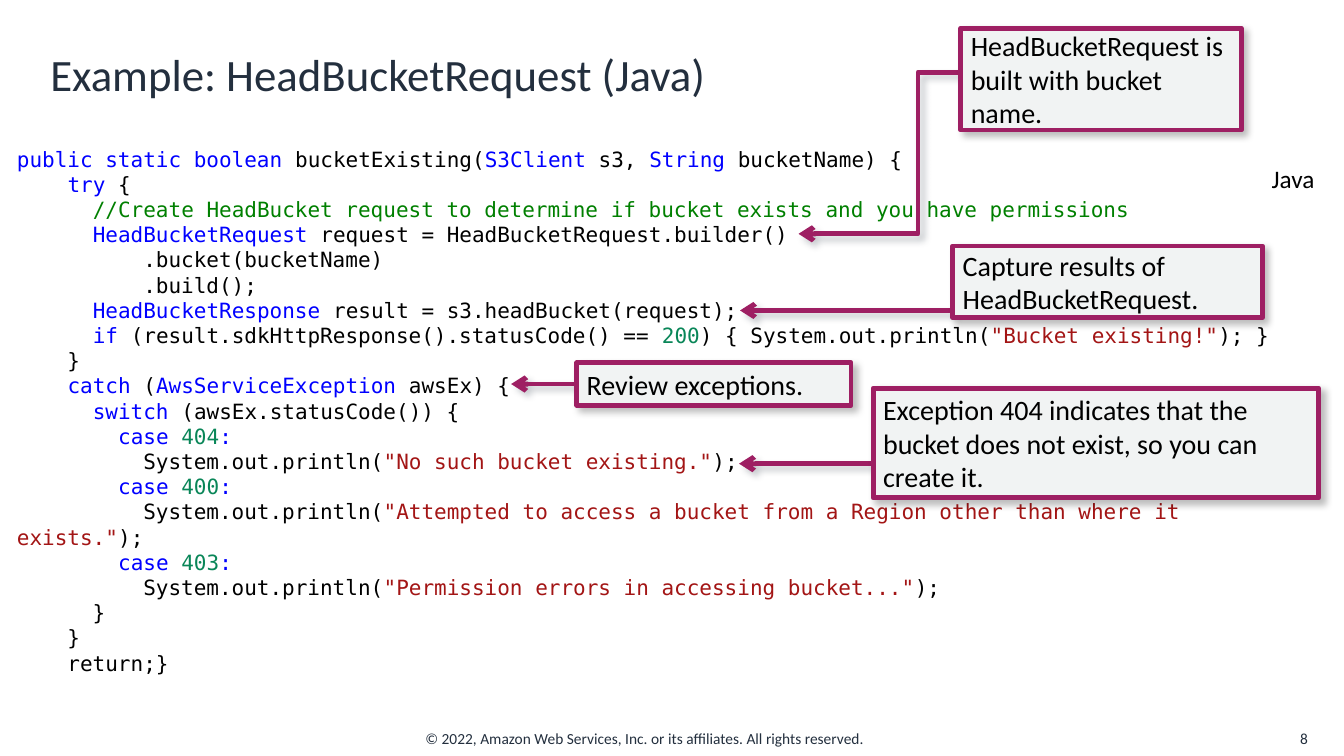
from dataclasses import dataclass

from lxml import etree
from pptx import Presentation
from pptx.dml.color import RGBColor
from pptx.enum.shapes import MSO_CONNECTOR, MSO_SHAPE
from pptx.enum.text import MSO_ANCHOR, PP_ALIGN
from pptx.oxml.ns import qn
from pptx.util import Inches, Pt

RECT = MSO_SHAPE.RECTANGLE
STRAIGHT, ELBOW = MSO_CONNECTOR.STRAIGHT, MSO_CONNECTOR.ELBOW
TOP, MIDDLE = MSO_ANCHOR.TOP, MSO_ANCHOR.MIDDLE
LEFT, CENTER, RIGHT = PP_ALIGN.LEFT, PP_ALIGN.CENTER, PP_ALIGN.RIGHT


@dataclass(frozen=True)
class Theme:
    body: str = "Calibri"
    mono: str = "DejaVu Sans Mono"
    ink: str = "232F3E"
    black: str = "000000"
    panel: str = "F1F3F3"
    accent: str = "9E1F63"
    keyword: str = "0000FF"
    comment: str = "008000"
    number: str = "098658"
    string: str = "A31515"
    title_size: int = 32
    callout_size: int = 20
    label_size: int = 18
    code_size: int = 15
    code_pitch: int = 18
    footer_size: int = 11
    line_width: float = 3.5


T = Theme()
KEY, NOTE, NUM, STR = T.keyword, T.comment, T.number, T.string

# One list per line of code; coloured parts are (text, colour)
PRINT = "          System.out.println("
CODE = [
    [("public static boolean ", KEY), "bucketExisting(", ("S3Client", KEY),
     " s3, ", ("String ", KEY), "bucketName) {"],
    ["    ", ("try", KEY), " {"],
    ["      ", ("//Create HeadBucket request to determine if bucket exists"
                " and you have permissions", NOTE)],
    ["      ", ("HeadBucketRequest", KEY),
     " request = HeadBucketRequest.builder()"],
    ["          .bucket(bucketName)"],
    ["          .build();"],
    ["      ", ("HeadBucketResponse", KEY), " result = s3.headBucket(request);"],
    ["      ", ("if", KEY), " (result.sdkHttpResponse().statusCode() == ",
     ("200", NUM), ") { System.out.println(", ('"Bucket existing!"', STR),
     "); }"],
    ["    }"],
    ["    ", ("catch", KEY), " (", ("AwsServiceException ", KEY), "awsEx) {"],
    ["      ", ("switch", KEY), " (awsEx.statusCode()) {"],
    ["        ", ("case ", KEY), ("404", NUM), (":", KEY)],
    [PRINT, ('"No such bucket existing."', STR), ");"],
    ["        ", ("case ", KEY), ("400", NUM), (":", KEY)],
    [PRINT, ('"Attempted to access a bucket from a Region other than where'
             ' it exists."', STR), ");"],
    ["        ", ("case ", KEY), ("403", NUM), (":", KEY)],
    [PRINT, ('"Permission errors in accessing bucket..."', STR), ");"],
    ["      }"],
    ["    }"],
    ["    return;}"],
]

# Text, box (left, top, width, height), arrow start, arrow end
CALLOUTS = [
    ("HeadBucketRequest is built with bucket name.",
     (9.53, 0.28, 2.78, 1.01), (9.54, 0.72), (7.92, 2.32)),
    ("Capture results of HeadBucketRequest.",
     (9.45, 2.44, 3.07, 0.71), (9.45, 3.08), (7.34, 3.08)),
    ("Review exceptions.",
     (5.72, 3.6, 2.72, 0.42), (7.17, 3.81), (5.07, 3.81)),
    ("Exception 404 indicates that the bucket does not exist, "
     "so you can create it.",
     (8.66, 3.85, 4.42, 1.09), (9.43, 4.6), (7.33, 4.6)),
]
ELBOW_BEND = 26900  # share of the width before the turn, in 1/1000 percent


def write(sp, lines, *, size, color=T.ink, font=T.body, align=LEFT,
          anchor=TOP, wrap=True, pitch=None):
    """Fill a shape with lines; a line is a string or a list of parts."""
    tf = sp.text_frame
    tf.word_wrap = wrap
    tf.vertical_anchor = anchor
    for i, line in enumerate(lines):
        p = tf.paragraphs[0] if i == 0 else tf.add_paragraph()
        p.alignment = align
        if pitch:
            p.line_spacing = Pt(pitch)
        for part in [line] if isinstance(line, str) else line:
            text, tint = (part, color) if isinstance(part, str) else part
            r = p.add_run()
            r.text = text
            r.font.name = font
            r.font.size = Pt(size)
            r.font.color.rgb = RGBColor.from_string(tint)


def add_text(s, box, lines, **fmt):
    sp = s.shapes.add_textbox(*map(Inches, box))
    write(sp, lines, **fmt)
    return sp


def add_shadow(sp, color):
    effects = etree.SubElement(sp._element.spPr, qn("a:effectLst"))
    shadow = etree.SubElement(
        effects, qn("a:outerShdw"), blurRad=str(Pt(5)), dist=str(Pt(4.2)),
        dir="2700000", algn="tl", rotWithShape="0")
    clr = etree.SubElement(shadow, qn("a:srgbClr"), val=color)
    etree.SubElement(clr, qn("a:alpha"), val="25000")


def style_line(sp):
    sp.line.color.rgb = RGBColor.from_string(T.accent)
    sp.line.width = Pt(T.line_width)


def add_arrow(s, start, end):
    straight = start[1] == end[1]
    sp = s.shapes.add_connector(STRAIGHT if straight else ELBOW,
                                *map(Inches, start + end))
    style_line(sp)
    etree.SubElement(sp.line._get_or_add_ln(), qn("a:tailEnd"), type="arrow")
    if not straight:
        guides = sp._element.spPr.find(qn("a:prstGeom")).find(qn("a:avLst"))
        etree.SubElement(guides, qn("a:gd"), name="adj1",
                         fmla=f"val {ELBOW_BEND}")
    add_shadow(sp, T.ink)


def add_callout(s, text, box, start, end):
    add_arrow(s, start, end)
    sp = s.shapes.add_shape(RECT, *map(Inches, box))
    sp.fill.solid()
    sp.fill.fore_color.rgb = RGBColor.from_string(T.panel)
    style_line(sp)
    add_shadow(sp, T.black)
    write(sp, [text], size=T.callout_size, color=T.black, anchor=MIDDLE)


def main():
    prs = Presentation()
    prs.slide_width, prs.slide_height = Inches(13.33), Inches(7.5)
    s = prs.slides.add_slide(prs.slide_layouts[6])

    # Footer and slide number
    add_text(s, (4.12, 7.18, 5.09, 0.29),
             ["© 2022, Amazon Web Services, Inc. or its affiliates. "
              "All rights reserved."], size=T.footer_size, wrap=False)
    add_text(s, (12.54, 7.18, 0.53, 0.29), ["8"], size=T.footer_size,
             align=RIGHT, anchor=MIDDLE)

    # Title
    add_text(s, (0.4, 0.33, 12.65, 0.8), ["Example: HeadBucketRequest (Java)"],
             size=T.title_size, anchor=MIDDLE)

    # Language label and code
    label = add_text(s, (12.36, 1.62, 0.93, 0.52), ["Java"], color=T.black,
                     size=T.label_size, align=CENTER, wrap=False)
    tf = label.text_frame
    tf.margin_left = tf.margin_right = tf.margin_top = tf.margin_bottom = 0
    add_text(s, (0.07, 1.4, 13.1, 5.15), CODE, size=T.code_size,
             color=T.black, font=T.mono, pitch=T.code_pitch)

    # Callouts with their arrows
    for callout in CALLOUTS:
        add_callout(s, *callout)

    prs.save("out.pptx")


if __name__ == "__main__":
    main()
